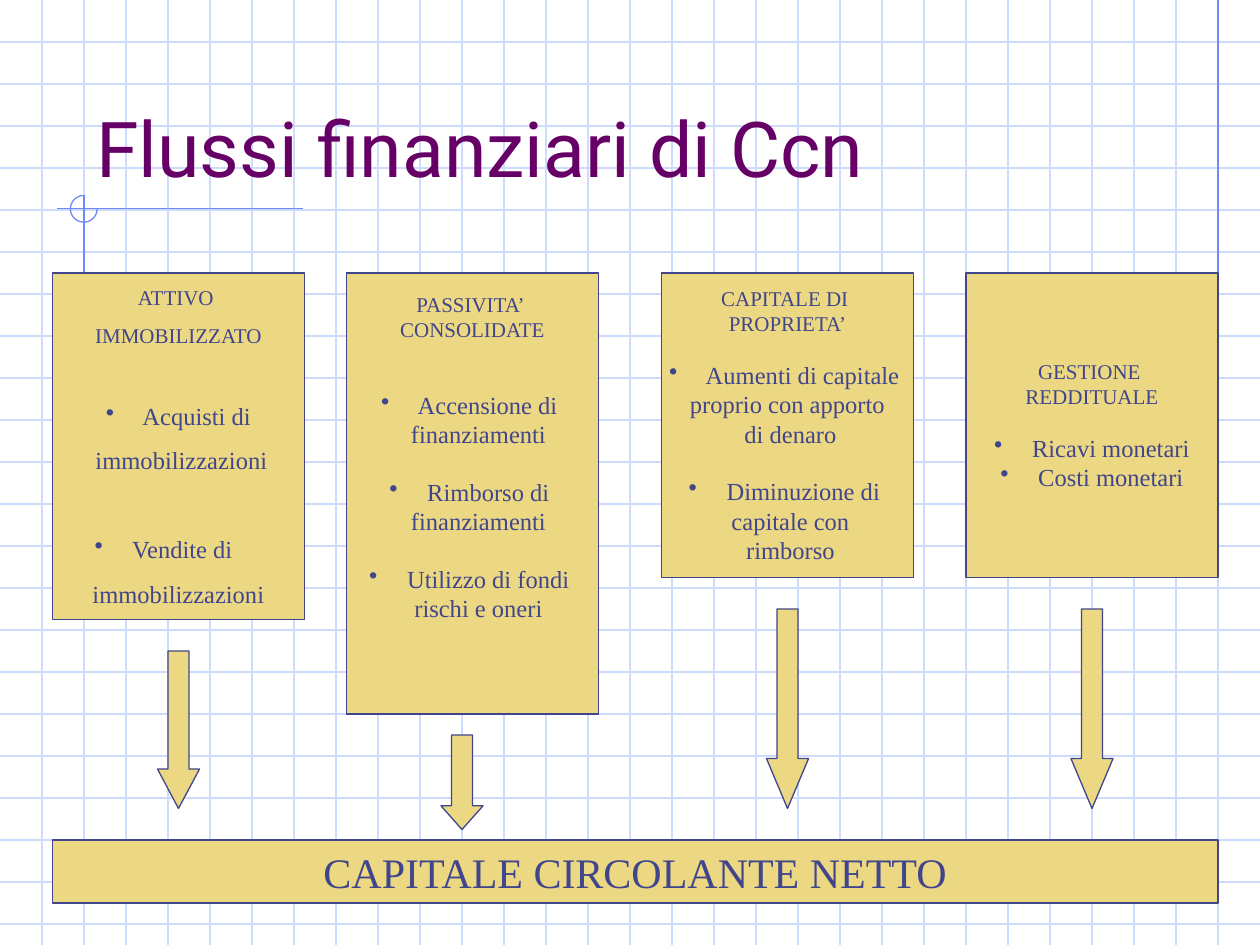
from dataclasses import dataclass

from lxml import etree
from pptx import Presentation
from pptx import util as u
from pptx.dml.color import RGBColor
from pptx.enum import shapes, text
from pptx.oxml import ns


@dataclass(frozen=True)
class Theme:
    grid: str = "CFDBFD"
    accent: str = "6F89F7"
    title: str = "660066"
    fill: str = "ECD882"
    ink: str = "40458C"
    title_font: str = "Roboto"
    body_font: str = "Times New Roman"
    title_size: int = 44
    total_size: int = 24
    item_size: int = 14
    heading_size: int = 12
    line_width: float = 0.75


@dataclass(frozen=True)
class Line:
    text: str
    size: int
    before: float = 0
    bullet: bool = False
    left: float = 0
    right: float = 0


THEME = Theme()
COLUMNS, ROWS, GRID_STEP = 120, 90, 4
BULLET_INDENT = 0.64
SPACE_WIDTH = 0.12


def units(count):
    return u.Cm(count * 2.54 / 12)


def heading(content, before=0):
    return Line(content, THEME.heading_size, before)


def item(content, before=0, bullet=False, left=0, right=0):
    return Line(content, THEME.item_size, before, bullet, left, right)


class FlowSlide:
    def __init__(self, presentation, theme):
        self.theme = theme
        self.slide = presentation.slides.add_slide(presentation.slide_layouts[6])

    def line(self, start, end, color):
        connector = self.slide.shapes.add_connector(
            shapes.MSO_CONNECTOR.STRAIGHT, *start, *end)
        self.outline(connector, color)
        etree.SubElement(connector._element.spPr, ns.qn("a:effectLst"))

    def outline(self, shape, color):
        shape.line.color.rgb = RGBColor.from_string(color)
        shape.line.width = u.Pt(self.theme.line_width)

    def preset(self, kind, place, line_color, fill=None):
        shape = self.slide.shapes.add_shape(kind, *place)
        shape.shadow.inherit = False
        self.outline(shape, line_color)
        if fill:
            shape.fill.solid()
            shape.fill.fore_color.rgb = RGBColor.from_string(fill)
        else:
            shape.fill.background()
        return shape

    def run(self, paragraph, content, size, font, color):
        run = paragraph.add_run()
        run.text = content
        run.font.size = u.Pt(size)
        run.font.name = font
        run.font.color.rgb = RGBColor.from_string(color)

    def title(self, content, place):
        frame = self.slide.shapes.add_textbox(*place).text_frame
        frame.word_wrap = True
        frame.vertical_anchor = text.MSO_ANCHOR.BOTTOM
        self.run(frame.paragraphs[0], content, self.theme.title_size,
                 self.theme.title_font, self.theme.title)

    def box(self, place, lines, bottom_inset=0.13):
        shape = self.preset(shapes.MSO_SHAPE.RECTANGLE, place,
                            self.theme.ink, self.theme.fill)
        frame = shape.text_frame
        frame.word_wrap = False
        frame.vertical_anchor = text.MSO_ANCHOR.MIDDLE
        frame.margin_bottom = u.Cm(bottom_inset)
        for index, line in enumerate(lines):
            paragraph = frame.add_paragraph() if index else frame.paragraphs[0]
            self.fill_paragraph(paragraph, line)

    def fill_paragraph(self, paragraph, line):
        paragraph.alignment = text.PP_ALIGN.CENTER
        paragraph.space_before = u.Pt(line.before)
        properties = paragraph._p.get_or_add_pPr()
        indent = BULLET_INDENT if line.bullet else 0
        properties.set("marL", str(u.Cm(line.left + indent)))
        properties.set("marR", str(u.Cm(line.right)))
        properties.set("indent", str(u.Cm(-indent)))
        if line.bullet:
            bullet_color = etree.SubElement(properties, ns.qn("a:buClr"))
            etree.SubElement(bullet_color, ns.qn("a:srgbClr"), val=self.theme.ink)
            etree.SubElement(properties, ns.qn("a:buChar"), char="•")
        self.run(paragraph, line.text, line.size, self.theme.body_font, self.theme.ink)

    def arrow(self, left, top, height, width=4):
        place = [units(value) for value in (left, top, width, height)]
        shape = self.preset(shapes.MSO_SHAPE.DOWN_ARROW, place,
                            self.theme.ink, self.theme.fill)
        shape.adjustments[0] = 0.5
        shape.adjustments[1] = height / width / 4

    def background(self):
        for row in range(GRID_STEP, ROWS, GRID_STEP):
            self.line((0, units(row)), (units(COLUMNS), units(row)), self.theme.grid)
        for column in range(GRID_STEP, COLUMNS, GRID_STEP):
            self.line((units(column), 0), (units(column), units(ROWS)), self.theme.grid)
        accent = self.theme.accent
        self.line((units(116), 0), (units(116), units(31)), accent)
        self.line((u.Cm(6.1), u.Cm(4.2)), (u.Cm(1.15), u.Cm(4.2)), accent)
        self.line((units(8), u.Cm(3.94)), (units(8), u.Cm(10.39)), accent)
        place = [u.Cm(value) for value in (1.42, 3.94, 0.54, 0.54)]
        arc = self.preset(shapes.MSO_SHAPE.ARC, place, accent)
        arc.adjustments[0] = 0
        arc.adjustments[1] = 162


def main():
    presentation = Presentation()
    presentation.slide_width = units(COLUMNS)
    presentation.slide_height = units(ROWS)
    flow = FlowSlide(presentation, THEME)
    flow.background()
    flow.title("Flussi finanziari di Ccn", [units(value) for value in (8, 4, 102, 15)])

    sources = [
        (5, 33, 0.13, [
            heading("ATTIVO ", 7.5),
            heading("IMMOBILIZZATO", 7.5),
            item(" Acquisti di", 30.1, True),
            item(" immobilizzazioni", 8.8),
            item(" Vendite di", 33.7, True, right=5 * SPACE_WIDTH),
            item("immobilizzazioni", 8.8),
        ]),
        (33, 42, 1.59, [
            heading("PASSIVITA’ "),
            heading("CONSOLIDATE"),
            item(" Accensione di ", 27.6, True),
            item(" finanziamenti", left=SPACE_WIDTH),
            item(" Rimborso di ", 16.1, True),
            item(" finanziamenti", left=SPACE_WIDTH),
            item(" Utilizzo di fondi ", 16.1, True),
            item(" rischi e oneri", left=SPACE_WIDTH),
        ]),
        (63, 29, 0.13, [
            heading("CAPITALE DI "),
            heading("PROPRIETA’"),
            item(" Aumenti di capitale ", 13.8, True),
            item(" proprio con apporto "),
            item(" di denaro"),
            item(" Diminuzione di ", 16.1, True),
            item(" capitale con"),
            item(" rimborso"),
        ]),
        (92, 29, 0.13, [
            heading("GESTIONE "),
            heading("REDDITUALE"),
            item(" Ricavi monetari", 13.8, True),
            item(" Costi monetari", bullet=True),
        ]),
    ]
    for left, height, bottom_inset, lines in sources:
        place = [units(value) for value in (left, 26, 24, height)]
        flow.box(place, lines, bottom_inset)

    flow.box([units(value) for value in (5, 80, 111, 6)],
             [Line("CAPITALE CIRCOLANTE NETTO", THEME.total_size)])
    for left, top, height in ((15, 62, 15), (42, 70, 9), (73, 58, 19), (102, 58, 19)):
        flow.arrow(left, top, height)
    presentation.save("out.pptx")


if __name__ == "__main__":
    main()
